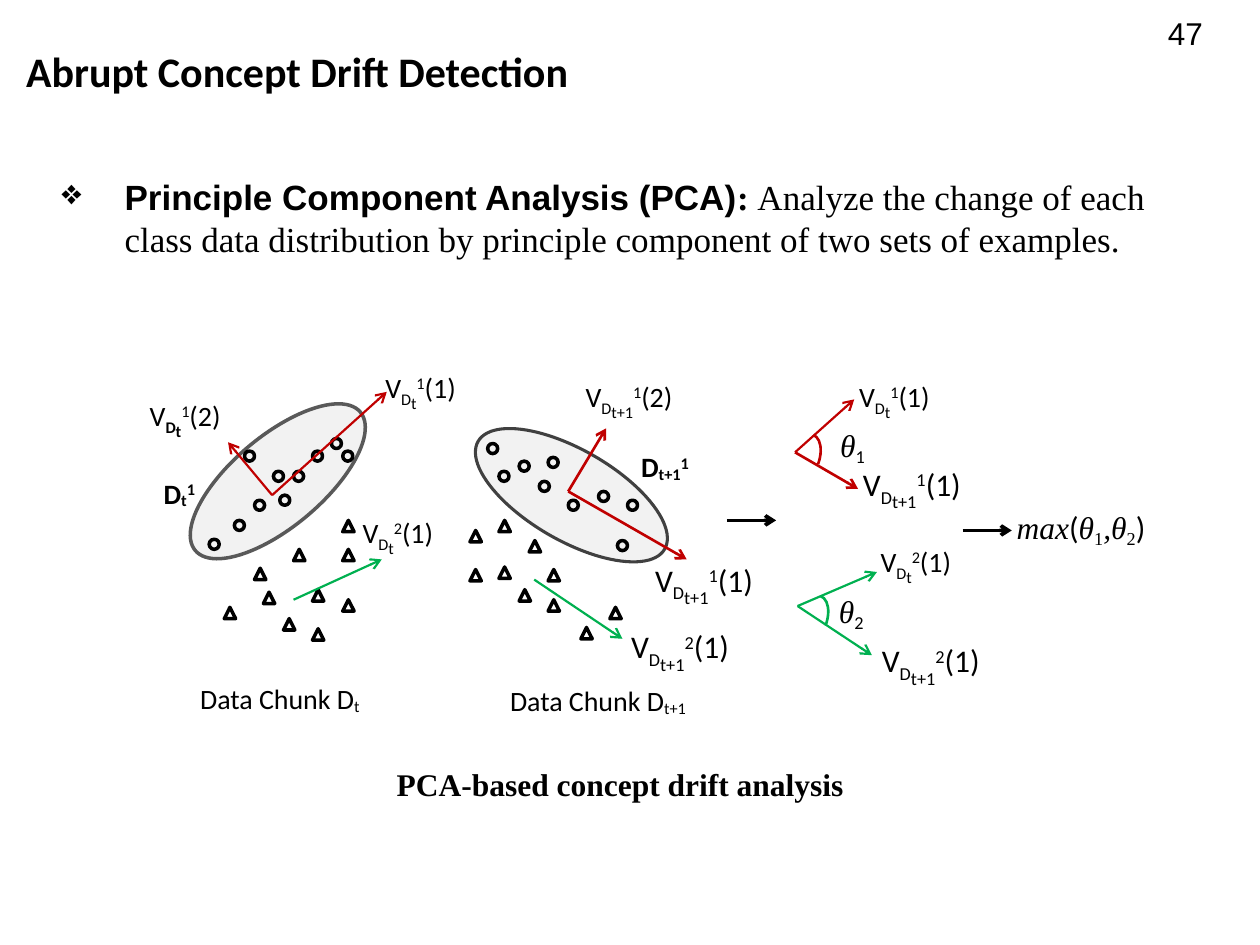
from lxml import etree
from pptx import Presentation
from pptx.dml.color import RGBColor
from pptx.enum.shapes import MSO_CONNECTOR, MSO_SHAPE
from pptx.enum.text import MSO_AUTO_SIZE
from pptx.oxml.ns import qn
from pptx.util import Inches, Pt

OVAL, TRI, ARC = MSO_SHAPE.OVAL, MSO_SHAPE.ISOSCELES_TRIANGLE, MSO_SHAPE.ARC
LINE = MSO_CONNECTOR.STRAIGHT
FIT, FIXED = MSO_AUTO_SIZE.SHAPE_TO_FIT_TEXT, MSO_AUTO_SIZE.NONE

COLS, ROWS = 100, 75
WIDE, HIGH = Inches(10), Inches(7.5)
INK = {"text": "000000", "fill": "F2F2F2", "rim_a": "595959", "rim_b": "404040",
       "red": "C00000", "green": "00B050"}

SANS, SERIF, ARIAL = "Calibri", "Times New Roman", "Arial"
BOLD = {"bold": True}
MATH = {"name": SERIF, "italic": True}
ROMAN = {"name": SERIF}


def col(n):
    return round(WIDE * n / COLS)


def row(n):
    return round(HIGH * n / ROWS)


def paint(line, ink, width):
    line.color.rgb = RGBColor.from_string(INK[ink])
    line.width = Pt(width)


def write(slide, box, runs, size, base=None, wrap=True, fit=FIT):
    x, y, w, h = box
    frame = slide.shapes.add_textbox(col(x), row(y), col(w), row(h)).text_frame
    frame.word_wrap = wrap
    frame.auto_size = fit
    para = frame.paragraphs[0]
    for text, shift, look in runs:
        run = para.add_run()
        run.text = text
        run.font.color.rgb = RGBColor.from_string(INK["text"])
        for key, value in ({"name": SANS, "size": Pt(size)} | (base or {}) | look).items():
            setattr(run.font, key, value)
        if shift:
            run._r.get_or_add_rPr().set("baseline", str(shift * 1000))
    return para


def draw(slide, kind, box, ink, width, fill=None, turn=0):
    x, y, w, h = box
    shape = slide.shapes.add_shape(kind, col(x), row(y), col(w), row(h))
    shape.shadow.inherit = False
    shape.rotation = turn
    if fill:
        shape.fill.solid()
        shape.fill.fore_color.rgb = RGBColor.from_string(INK[fill])
    else:
        shape.fill.background()
    paint(shape.line, ink, width)


def arrow(slide, start, end, ink, width):
    link = slide.shapes.add_connector(LINE, col(start[0]), row(start[1]), col(end[0]), row(end[1]))
    paint(link.line, ink, width)
    etree.SubElement(link.line._get_or_add_ln(), qn("a:tailEnd"), type="arrow")
    etree.SubElement(link._element.spPr, qn("a:effectLst"))


def vector(time, group, rank, look=None):
    look = look or {}
    return [("V", 0, {}), ("D", -25, look), (time, -40, look), (group, 30, {}), (f"({rank})", 0, {})]


def chunk(slide, left, top, data):
    def at(x, y):
        return left + x, top + y

    rim, width, spot, turn = data["oval"]
    draw(slide, OVAL, (*at(*spot), 17.1, 7.2), rim, width, "fill", turn)
    for kind, side, spots in ((OVAL, 0.8, data["dots"]), (TRI, 0.9, data["tris"])):
        for spot in spots:
            draw(slide, kind, (*at(*spot), side, side), "text", 2)
    for start, end, ink, width in data["axes"]:
        arrow(slide, at(*start), at(*end), ink, width)
    for x, y, w, size, runs in data["tags"]:
        write(slide, (*at(x, y), w, size * 0.23), runs, size)
    time = data["time"]
    write(slide, (*at(*data["class"]), 9.4, 3.7),
          [("D", 0, {}), (time, -10, {}), ("1", 30, {})], 16, BOLD)
    write(slide, (*at(*data["name"]), 19.7, 3.7),
          [("Data Chunk D", 0, {}), (time, -10, {})], 16)


def angle(slide, left, top, group, ink, ends, widths, arc, sign, tags):
    for (x, y), width in zip(ends, widths):
        arrow(slide, (left, top), (left + x, top + y), ink, width)
    draw(slide, ARC, (left + arc[0], top + arc[1], 2.3, 4.1), ink, 1.5, turn=20)
    write(slide, (left + sign[0], top + sign[1], 4.8, 4),
          [("θ", 0, MATH), (group, -20, {})], 18)
    for (x, y), time, size in zip(tags, ("t", "t+1"), (16, 18)):
        write(slide, (left + x, top + y, 12.9, size * 0.23), vector(time, group, 1), size)


def header(slide, left, top):
    write(slide, (left + 1.1, top + 3.1, 71.6, 5), [("Abrupt Concept Drift Detection", 0, {})], 24, BOLD)
    para = write(slide, (left + 91.7, top, 8.3, 4), [("47", 0, {})], 18, {"name": ARIAL}, fit=FIXED)
    para.line_spacing = 1.2


def body(slide, left, top):
    runs = [("Principle Component Analysis (PCA)", 0, BOLD | {"name": ARIAL}),
            (": ", 0, BOLD),
            ("Analyze the change of each class data distribution by principle "
             "component of two sets of examples.", 0, {})]
    para = write(slide, (left, top, 89.8, 7.7), runs, 20, ROMAN)
    props = para._p.get_or_add_pPr()
    props.set("marL", str(col(5)))
    props.set("indent", str(-col(5)))
    etree.SubElement(props, qn("a:buChar"), char="❖")


def result(slide, left, top):
    arrow(slide, (left, top), (left + 3.9, top), "text", 2)
    write(slide, (left + 3.3, top - 2.3, 12.5, 4.6),
          [("max", 0, MATH), ("(", 0, {}), ("θ", 0, MATH), ("1", -20, ROMAN),
           (",θ", 0, MATH), ("2", -20, ROMAN), (")", 0, {})], 18)


FIRST = {
    "time": "t", "oval": ("rim_a", 2, (3.5, 4.6), 320), "class": (2, 7.3), "name": (4.9, 23.6),
    "dots": [(12.2, 9.3), (13.3, 7.4), (16.3, 4.8), (14.8, 5.8), (10.2, 9.7),
             (11.7, 7.4), (9.4, 5.8), (8.6, 11.3), (6.6, 12.8), (17.2, 5.8)],
    "tris": [(13.3, 13.6), (14.8, 16.8), (12.5, 19.1), (14.8, 19.9), (17.2, 17.6),
             (10.9, 17), (7.8, 18.2), (10.2, 15.1), (17.2, 11.3), (17.2, 13.6)],
    "axes": [((11.6, 9.3), (20.7, 1.1), "red", 1.25), ((11.6, 9.3), (8.1, 5.1), "red", 1.25),
             ((13.3, 17.6), (20.3, 14.4), "green", 1.25)],
    "tags": [(0.9, 1.1, 10, 16, vector("t", "1", 2, BOLD)),
             (19.6, -1.1, 11.7, 16, vector("t", "1", 1)),
             (17.8, 10.4, 11.7, 16, vector("t", "2", 1))],
}
SECOND = {
    "time": "t+1", "oval": ("rim_b", 1.75, (0.8, 5.7), 210), "class": (13.9, 5.2), "name": (3.5, 23.8),
    "dots": [(5.2, 6.6), (13.8, 9.7), (3.6, 7.4), (2.7, 5.2), (9.1, 9.7),
             (11.5, 9), (6.8, 8.2), (7.5, 6.3), (13, 12.9)],
    "tris": [(1.3, 12.1), (7.5, 15.2), (7.5, 17.6), (10.1, 19.8), (12.4, 18.2),
             (5.2, 16.8), (3.6, 11.3), (3.6, 15), (1.3, 15.2), (6, 12.9)],
    "axes": [((9.1, 9), (18.5, 14.4), "red", 1.5), ((9.1, 9), (12.1, 4), "red", 1.5),
             ((6.4, 16), (13.4, 20.7), "green", 1.25)],
    "tags": [(15, 14, 12.9, 18, vector("t+1", "1", 1)),
             (9.5, -0.4, 11.7, 16, vector("t+1", "1", 2)),
             (13.1, 19.3, 12.9, 18, vector("t+1", "2", 1))],
}


def main():
    deck = Presentation()
    deck.slide_width, deck.slide_height = WIDE, HIGH
    slide = deck.slides.add_slide(deck.slide_layouts[6])
    header(slide, 0, 0)
    body(slide, 3.9, 13.4)
    chunk(slide, 10, 30, FIRST)
    chunk(slide, 36, 30, SECOND)
    arrow(slide, (57.7, 41.3), (61.6, 41.3), "text", 2)
    angle(slide, 63.1, 35.9, "1", "red", [(4.7, -4.2), (5, 2.9)], (1.25, 1.5),
          (-0.4, -1.5), (2.6, -2.6), [(4.1, -6.3), (4.4, 0.5)])
    angle(slide, 63.3, 48.1, "2", "green", [(6.3, -2.7), (5.9, 3.9)], (1.25, 1.25),
          (0, -0.9), (2.3, -1.6), [(5.6, -5.4), (5.7, 2.3)])
    result(slide, 76.4, 42.1)
    write(slide, (30.5, 60.2, 37.9, 4), [("PCA-based concept drift analysis", 0, {})],
          18, ROMAN | BOLD, wrap=False)
    deck.save("out.pptx")


if __name__ == "__main__":
    main()
